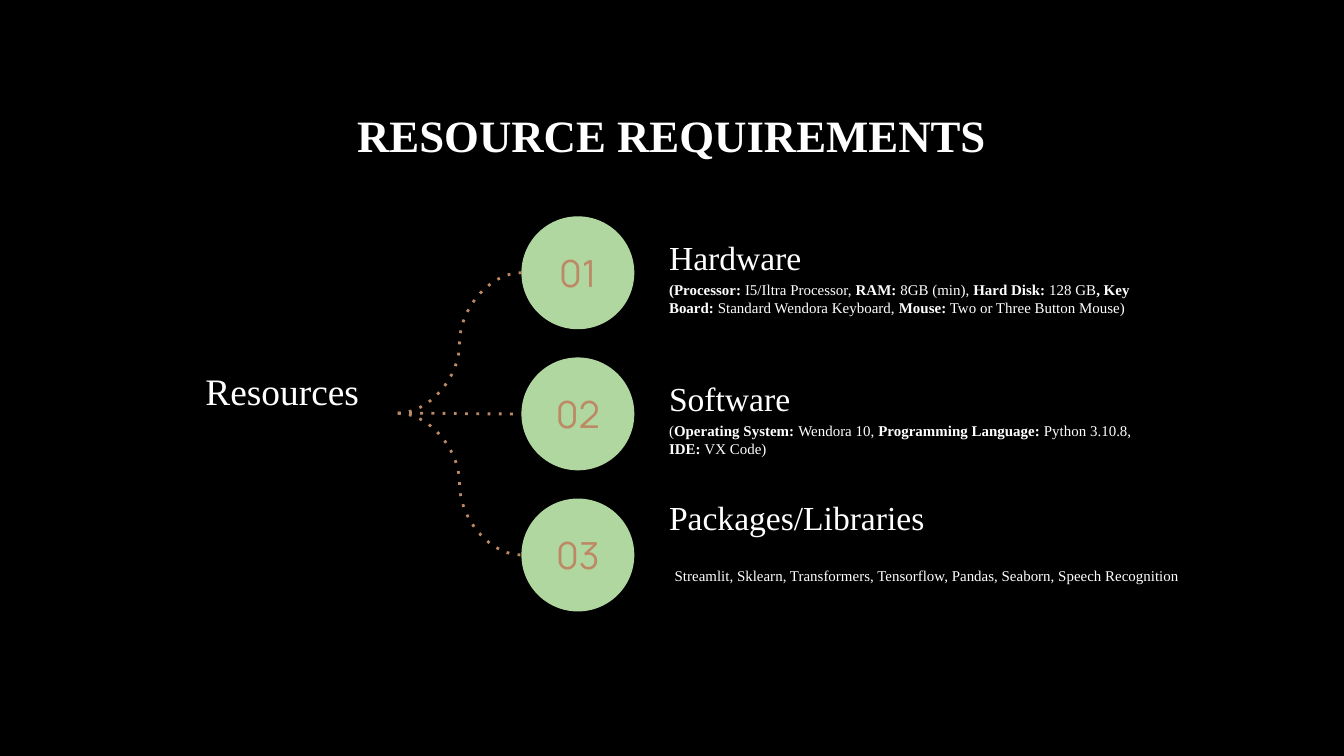
from lxml.etree import SubElement
from pptx import Presentation
from pptx.dml.color import RGBColor
from pptx.enum.shapes import MSO_CONNECTOR as Link, MSO_SHAPE as Shape
from pptx.enum.text import MSO_ANCHOR as Anchor, PP_ALIGN as Align
from pptx.oxml.ns import qn
from pptx.util import Inches, Pt

# Content: ** switches bold on and off
TITLE = "**RESOURCE REQUIREMENTS**"
ROOT = "Resources"
ITEMS = [
    ("Hardware",
     "**(Processor: **I5/Iltra Processor, **RAM:** 8GB (min), **Hard Disk: **128 GB"
     "**, Key Board:** Standard Wendora Keyboard, **Mouse:** Two or Three Button Mouse)"),
    ("Software",
     "(**Operating System: **Wendora 10, **Programming Language: **Python 3.10.8, "
     "**IDE: **VX Code)"),
    ("Packages/Libraries",
     "Streamlit, Sklearn, Transformers, Tensorflow, Pandas, Seaborn, Speech Recognition"),
]

THEME = {
    "back": "000000", "ink": "FFFFFF", "disc": "B1D7A1", "accent": "BD8964",
    "serif": "Times New Roman", "sans": "Manrope",
    "title": 24, "root": 20, "number": 20, "head": 18, "note": 8, "line": 1.5,
}

# Grid, in inches; the slide is 16:9
WIDE = 10
HIGH = WIDE * 9 / 16
TOP, STEP, DISC = 1.61, 1.05, 0.84
DISC_X, TEXT_X, TEXT_W = 3.88, 4.88, 3.74
HEAD_H, NOTE_H = 0.57, 0.42
ROOT_BOX = (1.24, 2.59, 1.72, 0.97)
PAD = 0.1


def rgb(name):
    return RGBColor.from_string(THEME[name])


def write(shape, text, size, font="serif", color="ink", align=Align.LEFT,
          anchor=Anchor.TOP, space=1.0, inset=PAD):
    frame = shape.text_frame
    frame.word_wrap = True
    frame.vertical_anchor = anchor
    frame.margin_left = Inches(inset)
    frame.margin_right = frame.margin_top = frame.margin_bottom = Inches(PAD)
    para = frame.paragraphs[0]
    para.alignment = align
    para.line_spacing = space
    for i, part in enumerate(text.split("**")):
        if part:
            run = para.add_run()
            run.text = part
            run.font.name = THEME[font]
            run.font.size = Pt(THEME[size])
            run.font.bold = i % 2 == 1
            run.font.color.rgb = rgb(color)


def label(slide, box, text, size, **form):
    write(slide.shapes.add_textbox(*map(Inches, box)), text, size, **form)


def disc(slide, y, text):
    shape = slide.shapes.add_shape(Shape.OVAL, *map(Inches, (DISC_X, y, DISC, DISC)))
    shape.shadow.inherit = False
    shape.fill.solid()
    shape.fill.fore_color.rgb = rgb("disc")
    shape.line.fill.background()
    write(shape, text, "number", font="sans", color="accent",
          align=Align.CENTER, anchor=Anchor.MIDDLE)


def branch(slide, start, end):
    """Dotted curve from the root label to a disc."""
    link = slide.shapes.add_connector(Link.CURVE, *map(Inches, start + end))
    link.line.color.rgb = rgb("accent")
    link.line.width = Pt(THEME["line"])
    props = link.element.spPr
    SubElement(props.find(qn("a:ln")), qn("a:prstDash"), val="dot")
    SubElement(props, qn("a:effectLst"))


def main():
    deck = Presentation()
    deck.slide_width, deck.slide_height = Inches(WIDE), Inches(HIGH)
    slide = deck.slides.add_slide(deck.slide_layouts[6])
    slide.background.fill.solid()
    slide.background.fill.fore_color.rgb = rgb("back")

    label(slide, (0.75, 0.5, 8.49, 1.09), TITLE, "title", align=Align.CENTER, space=1.5)
    label(slide, ROOT_BOX, ROOT, "root", align=Align.CENTER, space=1.15)

    x, y, w, h = ROOT_BOX
    hub = (x + w, y + h / 2)
    for i, (head, note) in enumerate(ITEMS):
        y = TOP + i * STEP
        last = i == len(ITEMS) - 1
        disc(slide, y, f"{i + 1:02}")
        # The last item is a single line, so its heading sits higher
        label(slide, (TEXT_X, y - (0.18 if last else 0.02), TEXT_W, HEAD_H), head,
              "head", anchor=Anchor.BOTTOM, space=1.15)
        label(slide, (TEXT_X, y + (0.41 if last else 0.38), 4.12 if last else TEXT_W, NOTE_H),
              note, "note", space=1.15 if last else 1.0, inset=0.14 if last else PAD)
        branch(slide, hub, (DISC_X, y + DISC / 2))

    deck.save("out.pptx")


if __name__ == "__main__":
    main()
